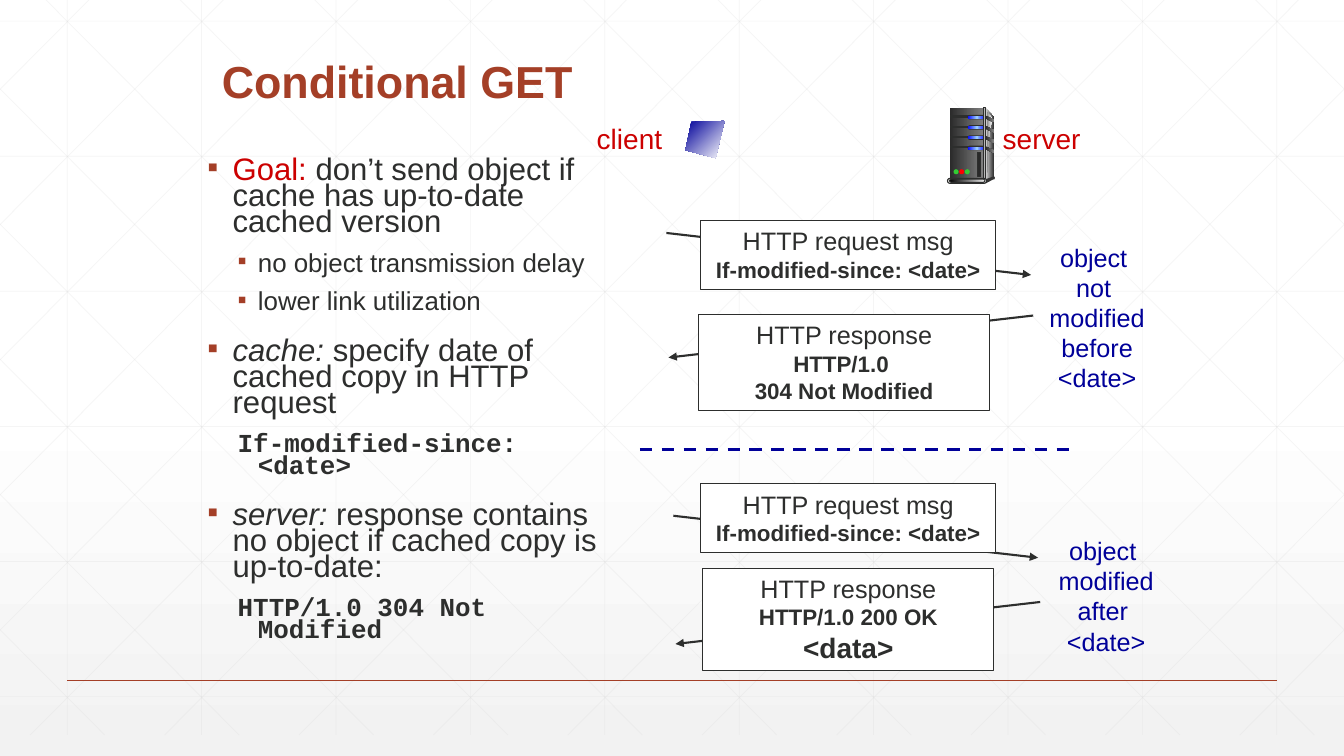
from copy import deepcopy

from lxml.etree import SubElement
from pptx import Presentation
from pptx.dml.color import RGBColor
from pptx.enum.dml import MSO_LINE
from pptx.enum.shapes import MSO_CONNECTOR, MSO_SHAPE
from pptx.enum.text import MSO_ANCHOR, MSO_AUTO_SIZE, PP_ALIGN
from pptx.oxml.ns import qn
from pptx.util import Pt

WIDTH, HEIGHT = 960, 540
WHITE = RGBColor(0xFF, 0xFF, 0xFF)
BLACK = RGBColor(0, 0, 0)
PALE = RGBColor(0xF2, 0xF2, 0xF2)
GRID = RGBColor(0xD9, 0xD9, 0xD9)
RUST = RGBColor(0xA4, 0x3F, 0x27)
INK = RGBColor(0x2D, 0x2E, 0x2D)
CRIMSON = RGBColor(0xCC, 0, 0)
NAVY = RGBColor(0, 0, 0x99)
SILVER = RGBColor(0xDD, 0xDD, 0xDD)
MIST = RGBColor(0xEA, 0xEA, 0xEA)
SMOKE = RGBColor(0xF8, 0xF8, 0xF8)
GRAY = RGBColor(0x80, 0x80, 0x80)
CHARCOAL = RGBColor(0x33, 0x33, 0x33)
COAL = RGBColor(0x29, 0x29, 0x29)
BLUE = RGBColor(0, 0, 0xFF)
SKY = RGBColor(0x99, 0xCC, 0xFF)
GREEN = RGBColor(0x33, 0xCC, 0x33)
RED = RGBColor(0xFF, 0, 0)


def add_text(paragraph, text, size=18, color=INK, font="Arial", bold=False, italic=False):
    run = paragraph.add_run()
    run.text = text
    run.font.name, run.font.size = font, Pt(size)
    run.font.bold, run.font.italic = bold, italic
    run.font.color.rgb = color


def add_centered_lines(frame, lines, wrap):
    frame.word_wrap = wrap
    frame.vertical_anchor = MSO_ANCHOR.TOP
    for index, (text, style) in enumerate(lines):
        paragraph = frame.add_paragraph() if index else frame.paragraphs[0]
        paragraph.alignment = PP_ALIGN.CENTER
        add_text(paragraph, text, **style)


def paint_gradient(fill, owner, colors, angle=0, start=0):
    fill.gradient()
    fill.gradient_angle = angle
    stop_list = next(owner.iter(qn("a:gsLst")))
    for _ in colors[2:]:
        stop_list.append(deepcopy(stop_list[-1]))
    for index, (stop, color) in enumerate(zip(fill.gradient_stops, colors)):
        stop.color.rgb = color
        stop.position = start + (1 - start) * index / (len(colors) - 1)


def paint(shape, colors, outline=None, angle=0):
    shape.shadow.inherit = False
    if len(colors) > 1:
        paint_gradient(shape.fill, shape._element, colors, angle)
    else:
        shape.fill.solid()
        shape.fill.fore_color.rgb = colors[0]
    if outline is None:
        shape.line.fill.background()
    else:
        shape.line.color.rgb = outline
        shape.line.width = Pt(0.75)


def add_preset(shapes, kind, box, colors, outline=None):
    shape = shapes.add_shape(kind, *map(Pt, box))
    if kind == MSO_SHAPE.ROUNDED_RECTANGLE:
        shape.adjustments[0] = 0.5
    paint(shape, colors, outline)
    return shape


def add_polygon(shapes, left, top, points, colors, angle=0):
    corners = [(Pt(left + x), Pt(top + y)) for x, y in points]
    builder = shapes.build_freeform(*corners[0])
    builder.add_line_segments(corners[1:])
    paint(builder.convert_to_shape(), colors, angle=angle)


def add_line(shapes, start, end, color, width, dash=None, opacity=None, arrow=False):
    connector = shapes.add_connector(MSO_CONNECTOR.STRAIGHT, *map(Pt, start + end))
    connector.line.color.rgb = color
    connector.line.width = Pt(width)
    if dash is not None:
        connector.line.dash_style = dash
    properties = connector._element.spPr
    if opacity:
        SubElement(next(properties.iter(qn("a:srgbClr"))), qn("a:alpha"), val=str(opacity * 1000))
    if arrow:
        SubElement(properties.find(qn("a:ln")), qn("a:tailEnd"), type="triangle")
    SubElement(properties, qn("a:effectLst"))


def build_backdrop(slide, top, height):
    paint_gradient(slide.background.fill, slide._element, [WHITE, PALE], angle=270, start=0.53)
    group = slide.shapes.add_group_shape()
    slide.shapes._spTree.insert(2, group._element)
    step, run, bottom = 96, 536.8, top + height
    segments = [((48 + step * i, top), (48 + step * i, bottom)) for i in range(10)]
    segments += [((0, 15.1 + 96.5 * i), (WIDTH, 15.1 + 96.5 * i)) for i in range(6)]
    diagonals = [(18 + step * i, run) for i in range(-5, 10)]
    diagonals += [(78.4 + step * i, -run) for i in range(15)]
    for x, shift in diagonals:
        ends = [min(max(value, 0), WIDTH) for value in (x, x + shift)]
        segments.append(tuple((end, top + height * (end - x) / shift) for end in ends))
    for start, end in segments:
        add_line(group.shapes, start, end, GRID, 0.5, opacity=25)
    add_line(slide.shapes, (48, 486), (912, 486), RUST, 1)


def place(placeholder, box):
    placeholder.left, placeholder.top, placeholder.width, placeholder.height = map(Pt, box)
    placeholder.text_frame.auto_size = MSO_AUTO_SIZE.NONE
    return placeholder.text_frame


def build_title(slide, box):
    frame = place(slide.shapes.title, box)
    frame.vertical_anchor = MSO_ANCHOR.BOTTOM
    paragraph = frame.paragraphs[0]
    paragraph.alignment = PP_ALIGN.LEFT
    paragraph.line_spacing = 0.9
    add_text(paragraph, "Conditional GET", size=32, color=RUST, bold=True)


def build_body(slide, box):
    main, detail = {"size": 22.2}, {"size": 18.5}
    term = {"size": 22.2, "italic": True}
    code = {"size": 18.5, "font": "Courier New", "bold": True}
    items = [
        (0, True, [("Goal:", {"size": 22.2, "color": CRIMSON}),
                   (" don’t send object if cache has up-to-date cached version", main)]),
        (1, True, [("no object transmission delay", detail)]),
        (1, True, [("lower link utilization", detail)]),
        (0, True, [("cache:", term), (" specify date of cached copy in HTTP request", main)]),
        (1, False, [("If-modified-since: <date>", code)]),
        (0, True, [("server:", term),
                   (" response contains no object if cached copy is up-to-date:", main)]),
        (1, False, [("HTTP/1.0 304 Not Modified", code)]),
    ]
    frame = place(slide.placeholders[1], box)
    for index, (level, bulleted, runs) in enumerate(items):
        paragraph = frame.add_paragraph() if index else frame.paragraphs[0]
        paragraph.level = level
        paragraph.alignment = PP_ALIGN.LEFT
        paragraph.line_spacing = 0.7
        paragraph.space_before = Pt((18, 12)[level] if index else 0)
        paragraph.space_after = Pt(0)
        properties = paragraph._p.get_or_add_pPr()
        properties.set("marL", str(Pt((18, 36)[level])))
        properties.set("indent", str(-Pt((18, 14.4)[level])))
        if bulleted:
            SubElement(SubElement(properties, qn("a:buClr")), qn("a:srgbClr"), val=str(RUST))
            SubElement(properties, qn("a:buFont"), typeface="Arial")
            SubElement(properties, qn("a:buChar"), char="▪")
        else:
            SubElement(properties, qn("a:buNone"))
        for text, style in runs:
            add_text(paragraph, text, **style)


def build_message(slide, box, start, reach, lines):
    add_line(slide.shapes, start, (start[0] + reach, start[1] + 30), INK, 1.5, arrow=True)
    shape = add_preset(slide.shapes, MSO_SHAPE.RECTANGLE, box, [WHITE], INK)
    sizes = [{"size": 18}] + [{"size": 20 if line == "<data>" else 16, "bold": True} for line in lines[1:]]
    add_centered_lines(shape.text_frame, zip(lines, sizes), True)


def build_label(slide, box, lines, **style):
    frame = slide.shapes.add_textbox(*map(Pt, box)).text_frame
    add_centered_lines(frame, [(line, style) for line in lines], False)


def build_server(slide, left, top):
    shapes = slide.shapes.add_group_shape().shapes
    rectangle, pill, oval = MSO_SHAPE.RECTANGLE, MSO_SHAPE.ROUNDED_RECTANGLE, MSO_SHAPE.OVAL

    def part(kind, x, y, width, height, colors, outline=None):
        add_preset(shapes, kind, (left + x, top + y, width, height), colors, outline)

    add_polygon(shapes, left, top, [(27, 0), (33, 6.5), (33, 49.7), (27, 51.8)], [SILVER, CHARCOAL])
    part(rectangle, 1.5, 0, 24.5, 51.8, [COAL, GRAY])
    add_polygon(shapes, left, top, [(28, 3), (31.7, 7.2), (29.2, 25), (28, 50.4)], [GRAY, SMOKE])
    for y in (5.8 + 7.3 * row for row in range(4)):
        part(rectangle, 2.2, y, 13.7, 1, [INK], INK)
        part(pill, 14.4, y - 0.7, 13.7, 3.3, [INK])
        part(pill, 14.4, y, 13, 2.2, [BLUE, SKY, BLUE])
        add_polygon(shapes, left, top + y, [(27.4, 0), (33, 2.6), (33, 4.6), (27.4, 2)], [COAL, GRAY])
    part(rectangle, 25.9, 0, 1.4, 51.8, [CHARCOAL, SILVER, CHARCOAL], INK)
    part(oval, 32.4, 49, 1.4, 2.2, [CHARCOAL])
    add_polygon(shapes, left, top, [(27.4, 51), (27.4, 54), (33, 51), (33, 49)], [CHARCOAL])
    part(pill, 0, 50.4, 28, 3.6, [SILVER], INK)
    part(pill, 1.5, 51, 25.2, 2.2, [BLACK, MIST], INK)
    for index, color in enumerate([GREEN, RED, GREEN]):
        part(oval, 4.3 + 4 * index, 43.9, 3.6, 3.6, [color])
    part(rectangle, 21.6, 31.7, 2.2, 17.3, [COAL], INK)


def main():
    presentation = Presentation()
    presentation.slide_width, presentation.slide_height = Pt(WIDTH), Pt(HEIGHT)
    slide = presentation.slides.add_slide(presentation.slide_layouts[1])
    build_backdrop(slide, -15, HEIGHT)
    build_title(slide, (151.2, 22.6, 627, 58.3))
    build_body(slide, (141, 110.4, 294.5, 369.4))
    request = ["HTTP request msg", "If-modified-since: <date>"]
    build_message(slide, (500.4, 157.5, 211, 49), (476, 166.4), 260.5, request)
    build_message(slide, (499, 224.8, 208, 68.3), (738, 225.4), -260.5,
                  ["HTTP response", "HTTP/1.0 ", "304 Not Modified"])
    build_label(slide, (740.3, 169.2, 86.8, 115.2),
                ["object ", "not ", "modified", "before", "<date>"], color=NAVY)
    add_line(slide.shapes, (457, 321), (764.6, 321), NAVY, 2.25, dash=MSO_LINE.DASH)
    build_message(slide, (500.4, 345.6, 211, 49), (481, 368.4), 260.5, request)
    build_message(slide, (502, 406, 208, 72.7), (743, 430), -260.5,
                  ["HTTP response", "HTTP/1.0 200 OK", "<data>"])
    build_label(slide, (746.8, 378.7, 86.8, 93.6),
                ["object ", "modified", "after ", "<date>"], color=NAVY)
    build_label(slide, (416, 83.5, 67.2, 31), ["client"], size=20, color=CRIMSON)
    build_label(slide, (705.1, 83.5, 78, 31), ["server"], size=20, color=CRIMSON)
    build_server(slide, 676.8, 77)
    add_polygon(slide.shapes, 489.6, 86.4, [(28, 0), (4.3, 0.7), (0, 20.9), (21.6, 26.6)],
                [NAVY, WHITE], angle=315)
    presentation.save("out.pptx")


if __name__ == "__main__":
    main()
